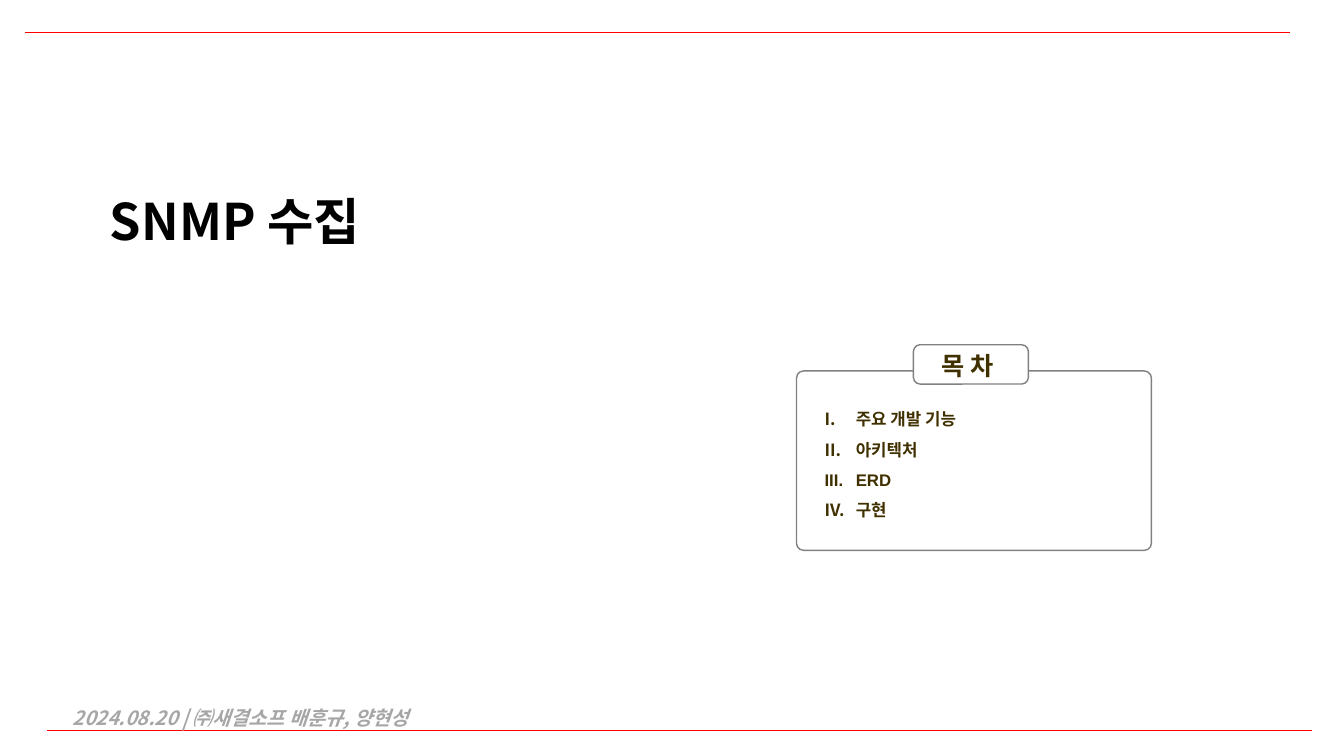
from lxml import etree
from pptx import Presentation
from pptx.dml.color import RGBColor
from pptx.enum.shapes import MSO_CONNECTOR, MSO_SHAPE
from pptx.enum.text import MSO_ANCHOR, MSO_AUTO_SIZE, PP_ALIGN
from pptx.oxml.ns import qn
from pptx.util import Inches, Pt

STRAIGHT = MSO_CONNECTOR.STRAIGHT
ROUNDED = MSO_SHAPE.ROUNDED_RECTANGLE
TOP, MIDDLE = MSO_ANCHOR.TOP, MSO_ANCHOR.MIDDLE
LEFT = PP_ALIGN.LEFT
NO_FIT = MSO_AUTO_SIZE.NONE

RED = RGBColor(0xFF, 0x00, 0x00)
BLACK = RGBColor(0x00, 0x00, 0x00)
WHITE = RGBColor(0xFF, 0xFF, 0xFF)
GRAY = RGBColor(0x80, 0x80, 0x80)
LIGHT_GRAY = RGBColor(0xA6, 0xA6, 0xA6)
BROWN = RGBColor(0x40, 0x30, 0x00)

KOREAN_FONT = "Noto Sans CJK KR"
LATIN_FONT = "Arial"


class CoverSlide:
    def __init__(self, presentation):
        self.slide = presentation.slides.add_slide(presentation.slide_layouts[5])
        self.shapes = self.slide.shapes

    def add_run(self, paragraph, text, size, color, font=LATIN_FONT, italic=False):
        run = paragraph.add_run()
        run.text = text
        run.font.name = font
        run.font.size = Pt(size)
        run.font.bold = True
        run.font.italic = italic
        run.font.color.rgb = color
        east_asian = etree.Element(qn("a:ea"), typeface=KOREAN_FONT)
        run.font._element.find(qn("a:latin")).addnext(east_asian)

    def title(self, left, top, width, height, text):
        shape = self.shapes.title
        shape.left, shape.top = Inches(left), Inches(top)
        shape.width, shape.height = Inches(width), Inches(height)
        frame = shape.text_frame
        frame.auto_size = NO_FIT
        frame.vertical_anchor = MIDDLE
        paragraph = frame.paragraphs[0]
        paragraph.alignment = LEFT
        paragraph.line_spacing = 0.9
        self.add_run(paragraph, text, 36, BLACK, KOREAN_FONT)

    def rule(self, left, top, width):
        line = self.shapes.add_connector(
            STRAIGHT, Inches(left), Inches(top), Inches(left + width), Inches(top))
        line.line.color.rgb = RED
        line.line.width = Pt(1)
        etree.SubElement(line._element.spPr, qn("a:effectLst"))

    def frame(self, left, top, width, height, radius, fill=None):
        shape = self.shapes.add_shape(
            ROUNDED, Inches(left), Inches(top), Inches(width), Inches(height))
        shape.adjustments[0] = radius
        shape.shadow.inherit = False
        shape.line.color.rgb = GRAY
        shape.line.width = Pt(1)
        if fill is None:
            shape.fill.background()
        else:
            shape.fill.solid()
            shape.fill.fore_color.rgb = fill

    def text_box(self, left, top, width, height, wrap=True):
        box = self.shapes.add_textbox(
            Inches(left), Inches(top), Inches(width), Inches(height))
        box.text_frame.word_wrap = wrap
        box.text_frame.vertical_anchor = TOP
        return box.text_frame

    def label(self, left, top, width, height, text, size, color):
        frame = self.text_box(left, top, width, height, wrap=False)
        self.add_run(frame.paragraphs[0], text, size, color)

    def footer(self, left, top, width, height, text):
        frame = self.text_box(left, top, width, height)
        frame.margin_left = frame.margin_right = 0
        frame.margin_top = frame.margin_bottom = 0
        self.add_run(frame.paragraphs[0], text, 14, LIGHT_GRAY, KOREAN_FONT, italic=True)

    def numbered_list(self, left, top, width, height, items):
        frame = self.text_box(left, top, width, height)
        indent = Inches(0.31)
        for index, item in enumerate(items):
            paragraph = frame.add_paragraph() if index else frame.paragraphs[0]
            properties = paragraph._element.get_or_add_pPr()
            properties.set("marL", str(indent))
            properties.set("indent", str(-indent))
            bullet_color = etree.SubElement(properties, qn("a:buClr"))
            etree.SubElement(bullet_color, qn("a:srgbClr"), val=str(BROWN))
            etree.SubElement(properties, qn("a:buFont"), typeface=LATIN_FONT)
            etree.SubElement(properties, qn("a:buAutoNum"), type="romanUcPeriod")
            paragraph.line_spacing = 1.5
            self.add_run(paragraph, item, 12, BROWN)


def main():
    presentation = Presentation()
    presentation.slide_width = Inches(13.33)
    presentation.slide_height = Inches(7.5)
    cover = CoverSlide(presentation)

    # Red rules at the bottom and top
    for left, top in ((0.47, 7.25), (0.25, 0.32)):
        cover.rule(left, top, 12.54)

    # Title and footer
    cover.title(0.99, 1.94, 11.71, 0.56, "SNMP 수집")
    cover.footer(0.72, 7, 7.05, 0.24, "2024.08.20 | ㈜새결소프 배훈규, 양현성")

    # Contents panel with its heading tab
    cover.frame(7.9, 3.68, 3.52, 1.78, 0.04)
    cover.frame(9.06, 3.42, 1.14, 0.39, 0.17, WHITE)
    cover.label(9.24, 3.43, 0.8, 0.4, "목 차", 18, BROWN)
    cover.numbered_list(8.08, 3.91, 3.34, 1.27,
                        ("주요 개발 기능", "아키텍처", "ERD", "구현"))

    presentation.save("out.pptx")


if __name__ == "__main__":
    main()
